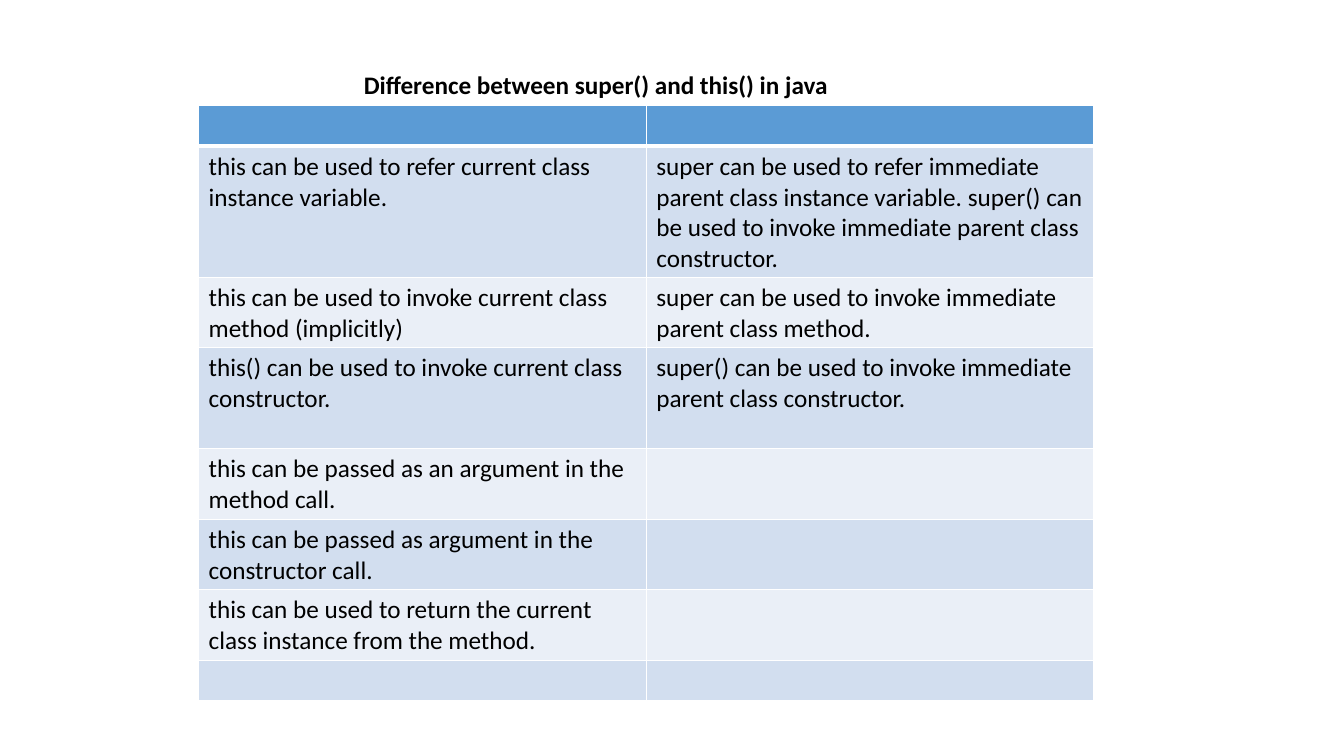
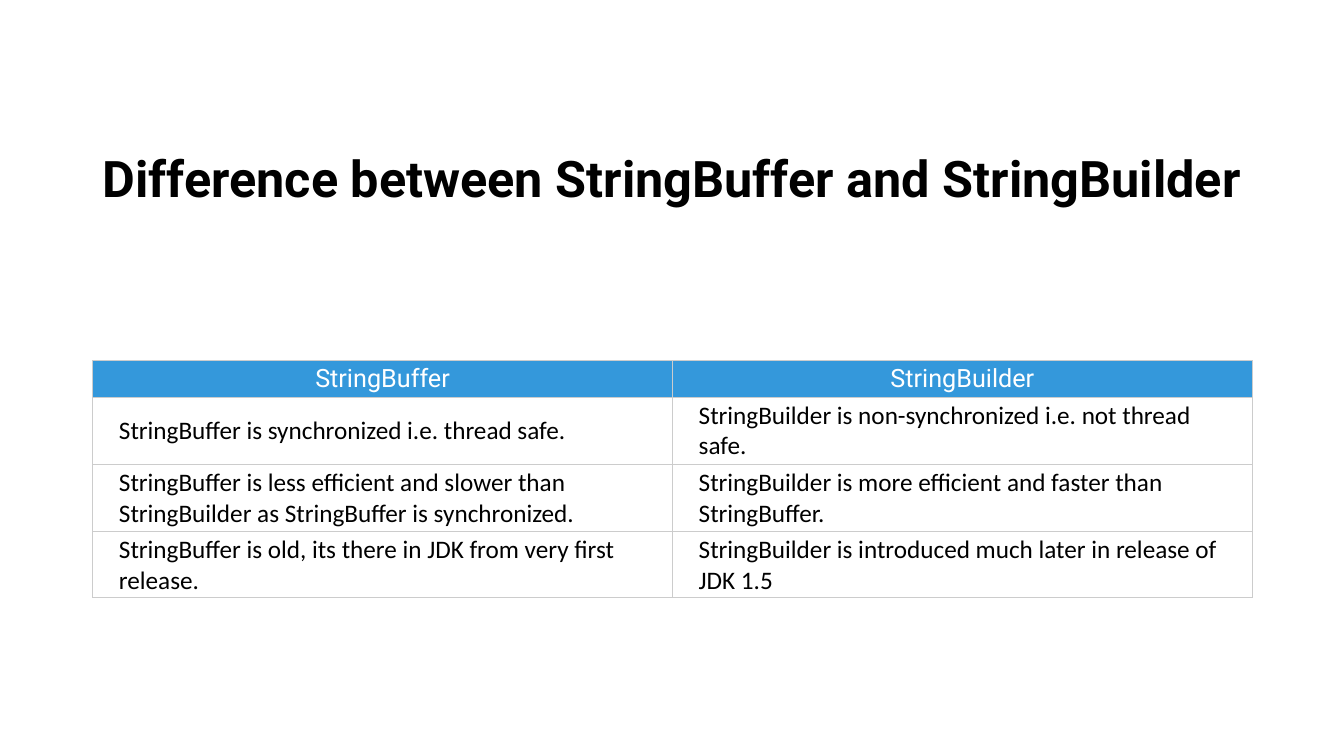
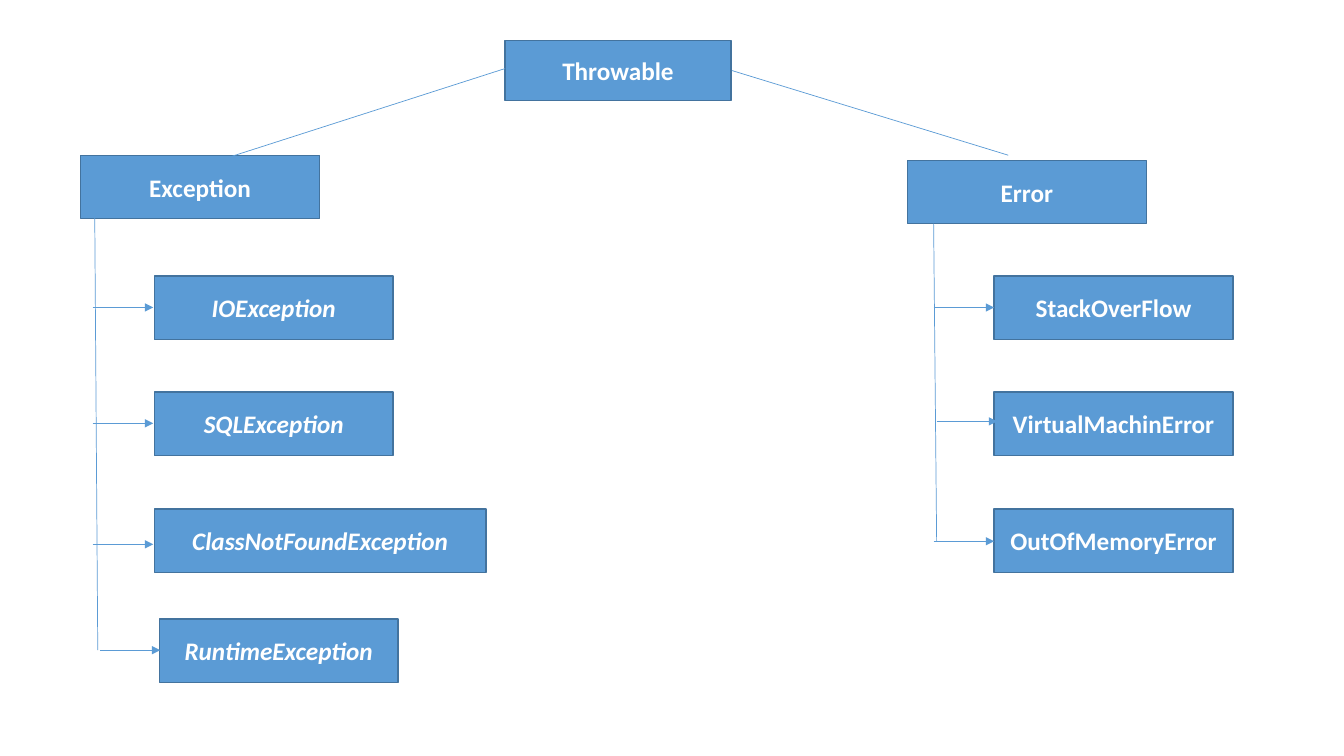
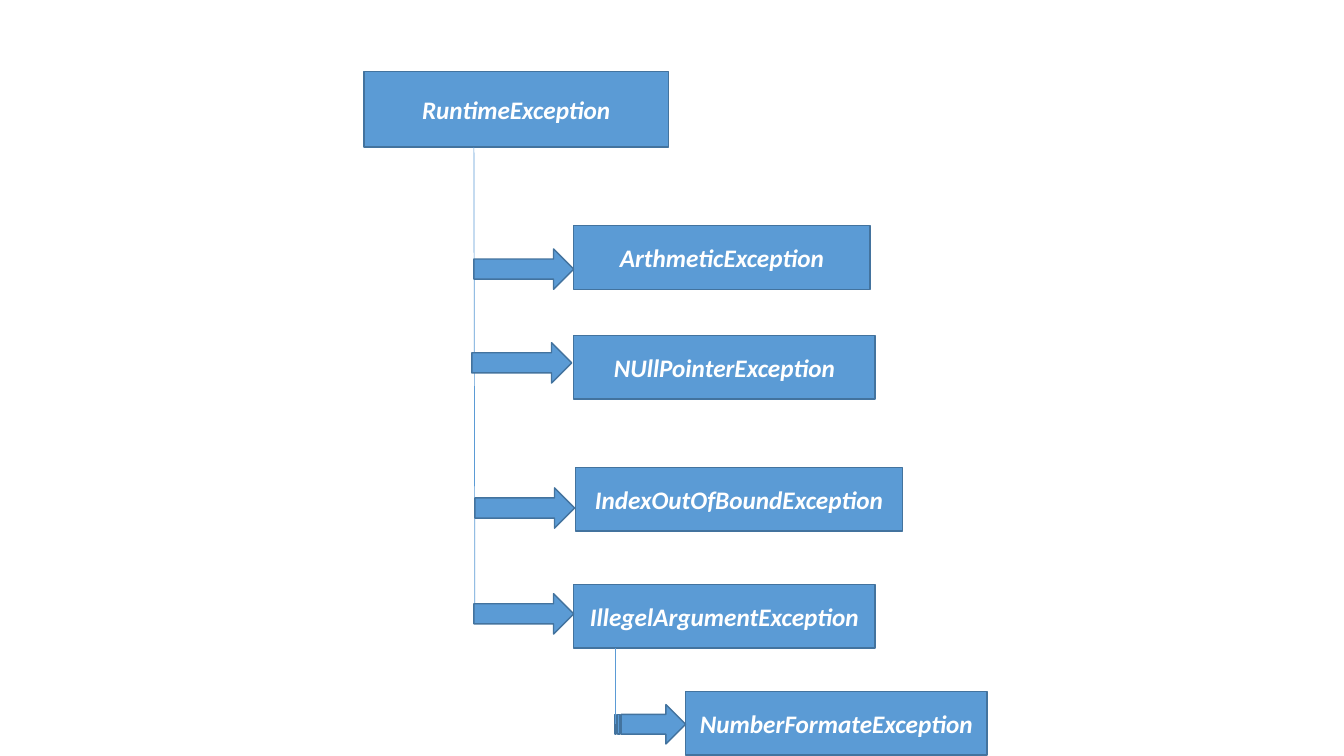
"""Build four slides on Java: two comparison tables and two exception trees."""
from lxml import etree
from pptx import Presentation
from pptx.dml.color import RGBColor
from pptx.enum import shapes, text
from pptx.oxml import ns
from pptx.util import Inches, Pt

COLORS = {"blue": "5B9BD5", "edge": "43739E", "band": "D2DEEF", "pale": "EAEFF7",
          "sky": "3498DB", "grid": "CCCCCC", "white": "FFFFFF", "black": "000000"}
BODY, HEADING = "Calibri", "Roboto"
SIZE = 18
RECT = shapes.MSO_SHAPE.RECTANGLE
ARROW = shapes.MSO_SHAPE.RIGHT_ARROW
STRIPED_ARROW = shapes.MSO_SHAPE.STRIPED_RIGHT_ARROW
LEFT, CENTER = text.PP_ALIGN.LEFT, text.PP_ALIGN.CENTER
TOP, MIDDLE = text.MSO_ANCHOR.TOP, text.MSO_ANCHOR.MIDDLE

KEYWORD_TITLE = "Difference between super() and this() in java"
KEYWORD_ROWS = [
    ("", ""),
    ("this can be used to refer current class instance variable.",
     "super can be used to refer immediate parent class instance variable. "
     "super() can be used to invoke immediate parent class constructor."),
    ("this can be used to invoke current class method (implicitly)",
     "super can be used to invoke immediate parent class method."),
    ("this() can be used to invoke current class constructor.",
     "super() can be used to invoke immediate parent class constructor."),
    ("this can be passed as an argument in the method call.", ""),
    ("this can be passed as argument in the constructor call.", ""),
    ("this can be used to return the current class instance from the method.", ""),
    ("", ""),
]
KEYWORD_HEIGHTS = [0.4, 1.3, 0.7, 1.0, 0.7, 0.7, 0.7, 0.4]

STRING_TITLE = "Difference between StringBuffer and StringBuilder"
STRING_ROWS = [
    ("StringBuffer", "StringBuilder"),
    ("StringBuffer is synchronized i.e. thread safe.",
     "StringBuilder is non-synchronized i.e. not thread safe."),
    ("StringBuffer is less efficient and slower than StringBuilder as StringBuffer is synchronized.",
     "StringBuilder is more efficient and faster than StringBuffer."),
    ("StringBuffer is old, its there in JDK from very first release.",
     "StringBuilder is introduced much later in release of JDK 1.5"),
]
STRING_HEIGHTS = [0.35, 0.67, 0.66, 0.66]

BOX_WIDTH, BOX_HEIGHT = 2.37, 0.63
PARENTS = [("Throwable", 5.01, 0.4, 2.24, 0.6),
           ("Exception", 0.8, 1.54, BOX_WIDTH, BOX_HEIGHT),
           ("Error", 9, 1.59, BOX_WIDTH, BOX_HEIGHT)]
LEVELS = [2.74, 3.89, 5.05, 6.14]
EXCEPTIONS = [("IOException", 1.53, BOX_WIDTH), ("SQLException", 1.53, BOX_WIDTH),
              ("ClassNotFoundException", 1.53, 3.29), ("RuntimeException", 1.58, BOX_WIDTH)]
ERRORS = [(name, 9.86, BOX_WIDTH)
          for name in ("StackOverFlow", "VirtualMachinError", "OutOfMemoryError")]
TREE_LINES = [(9.26, 2.22, 9.29, 5.37), (0.94, 2.16, 0.97, 6.45),
              (5.01, 0.68, 1.99, 1.65), (10, 1.54, 7.26, 0.7)]
BRANCH = 0.6
BRANCH_STARTS = [(9.26, 3.05), (9.29, 4.18), (9.26, 5.37),
                 (0.92, 3.05), (0.92, 4.2), (0.92, 5.4), (0.99, 6.45)]

RUNTIME_BOXES = [("RuntimeException", 3.61, 0.71, 3.02, 0.75),
                 ("ArthmeticException", 5.69, 2.24, 2.94, BOX_HEIGHT),
                 ("NUllPointerException", 5.69, 3.33, 2.99, BOX_HEIGHT),
                 ("IndexOutOfBoundException", 5.71, 4.64, 3.24, BOX_HEIGHT),
                 ("IllegelArgumentException", 5.69, 5.8, 2.99, BOX_HEIGHT),
                 ("NumberFormateException", 6.8, 6.86, 2.99, BOX_HEIGHT)]
BLOCK_ARROWS = [(4.7, 2.47), (4.68, 3.4), (4.71, 4.84), (4.7, 5.89)]


def rgb(name):
    return RGBColor.from_string(COLORS[name])


def write(frame, words, color, font=BODY, size=SIZE, bold=False, italic=False, align=LEFT):
    para = frame.paragraphs[0]
    para.alignment = align
    span = para.add_run()
    span.text = words
    span.font.name, span.font.size = font, Pt(size)
    span.font.bold, span.font.italic = bold, italic
    span.font.color.rgb = rgb(color)


def add_title(box, words, font, size, margins):
    frame = box.text_frame
    frame.word_wrap = True
    frame.vertical_anchor = MIDDLE
    set_margins(frame, margins)
    write(frame, words, "black", font, size, bold=True)


def set_margins(target, margins):
    (target.margin_left, target.margin_top,
     target.margin_right, target.margin_bottom) = map(Inches, margins)


def add_border(cell, side, color, width):
    props = cell._tc.get_or_add_tcPr()
    line = etree.SubElement(props, ns.qn(f"a:ln{side}"), w=str(Pt(width)))
    fill = etree.SubElement(line, ns.qn("a:solidFill"))
    etree.SubElement(fill, ns.qn("a:srgbClr"), val=COLORS[color])


def add_grid(page, rows, heights, place, fills, border, header, anchor, margins, rule):
    left, top, width = place
    frame = page.shapes.add_table(len(rows), len(rows[0]), Inches(left), Inches(top),
                                  Inches(width), Inches(sum(heights)))
    table = frame.table
    table.first_row = table.horz_banding = False
    for number, (words, height) in enumerate(zip(rows, heights)):
        table.rows[number].height = Inches(height)
        for column, entry in enumerate(words):
            cell = table.cell(number, column)
            cell.vertical_anchor = anchor
            set_margins(cell, margins)
            for side in "LRTB":
                thick = (number, side) in ((0, "B"), (1, "T"))
                add_border(cell, side, border[0], rule if thick else border[1])
            cell.fill.solid()
            fill = fills[0] if number == 0 else fills[1 + (number - 1) % (len(fills) - 1)]
            cell.fill.fore_color.rgb = rgb(fill)
            if entry:
                write(cell.text_frame, entry, **(header if number == 0 else {"color": "black"}))


def add_block(page, preset, left, top, width, height, fill="blue", edge="edge"):
    shape = page.shapes.add_shape(preset, *map(Inches, (left, top, width, height)))
    shape.shadow.inherit = False
    shape.fill.solid()
    shape.fill.fore_color.rgb = rgb(fill)
    if edge:
        shape.line.color.rgb = rgb(edge)
        shape.line.width = Pt(1)
    else:
        shape.line.fill.background()
    return shape


def add_box(page, words, left, top, width, height, italic=False):
    frame = add_block(page, RECT, left, top, width, height).text_frame
    frame.word_wrap = True
    frame.vertical_anchor = MIDDLE
    write(frame, words, "white", bold=True, italic=italic, align=CENTER)


def add_line(page, x1, y1, x2, y2, arrow=False):
    line = page.shapes.add_connector(shapes.MSO_CONNECTOR.STRAIGHT,
                                     *map(Inches, (x1, y1, x2, y2)))
    line.line.color.rgb = rgb("blue")
    line.line.width = Pt(0.5)
    if arrow:
        etree.SubElement(line.line._get_or_add_ln(), ns.qn("a:tailEnd"), type="triangle")
    etree.SubElement(line._element.spPr, ns.qn("a:effectLst"))


def build_keywords(page):
    box = page.shapes.add_textbox(*map(Inches, (3.51, 0.64, 4.85, 0.4)))
    add_title(box, KEYWORD_TITLE, BODY, SIZE, (0.1, 0.05, 0.1, 0.05))
    add_grid(page, KEYWORD_ROWS, KEYWORD_HEIGHTS, (1.97, 1.05, 8.88),
             ("blue", "band", "pale"), ("white", 1), {"color": "white"}, TOP,
             (0.1, 0.05, 0.1, 0.05), rule=3)


def build_strings(page):
    add_grid(page, STRING_ROWS, STRING_HEIGHTS, (0.92, 3.58, 11.5),
             ("sky", "white"), ("grid", 0.75),
             {"color": "white", "font": HEADING, "align": CENTER}, MIDDLE,
             (0.26, 0.03, 0.26, 0.03), rule=0.75)
    box = add_block(page, RECT, 0.92, 0.95, 11.5, 1.8, fill="white", edge=None)
    add_title(box, STRING_TITLE, HEADING, 36, (0.1, 0.2, 0, 0.39))


def build_throwable(page):
    for parent in PARENTS:
        add_box(page, *parent)
    for family, italic in ((EXCEPTIONS, True), (ERRORS, False)):
        for (name, left, width), top in zip(family, LEVELS):
            add_box(page, name, left, top, width, BOX_HEIGHT, italic)
    for ends in TREE_LINES:
        add_line(page, *ends)
    for x, y in BRANCH_STARTS:
        add_line(page, x, y, x + BRANCH, y, arrow=True)


def build_runtime(page):
    for box in RUNTIME_BOXES:
        add_box(page, *box, italic=True)
    add_line(page, 4.7, 1.46, 4.71, 6.06)
    for left, top in BLOCK_ARROWS:
        add_block(page, ARROW, left, top, 0.99, 0.4)
    add_block(page, STRIPED_ARROW, 6.1, 6.99, 0.7, 0.39)
    add_line(page, 6.1, 6.43, 6.1, 7.18)


def main():
    deck = Presentation()
    deck.slide_width, deck.slide_height = Inches(13.33), Inches(7.5)
    for build in (build_keywords, build_strings, build_throwable, build_runtime):
        build(deck.slides.add_slide(deck.slide_layouts[6]))
    deck.save("out.pptx")


if __name__ == "__main__":
    main()
